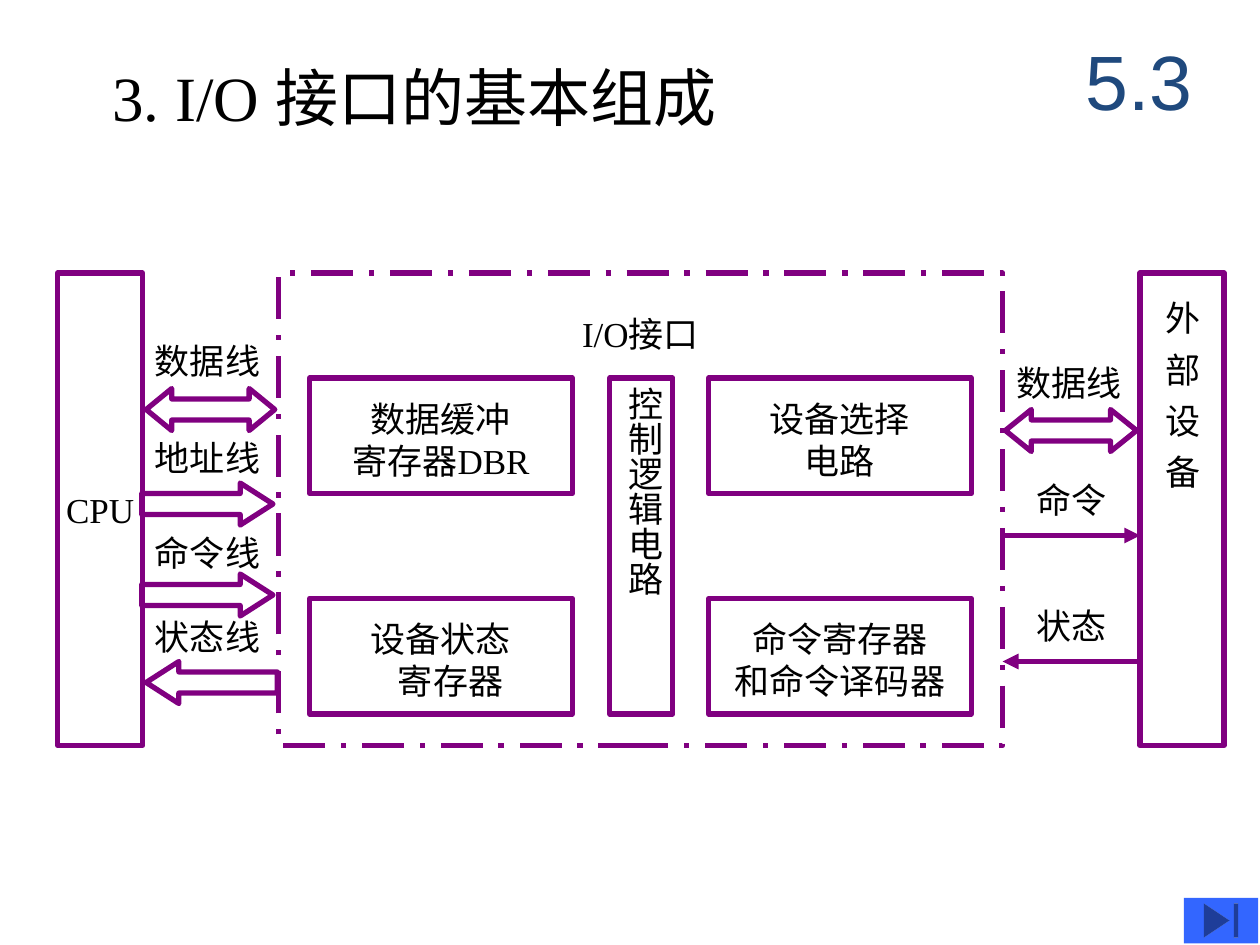
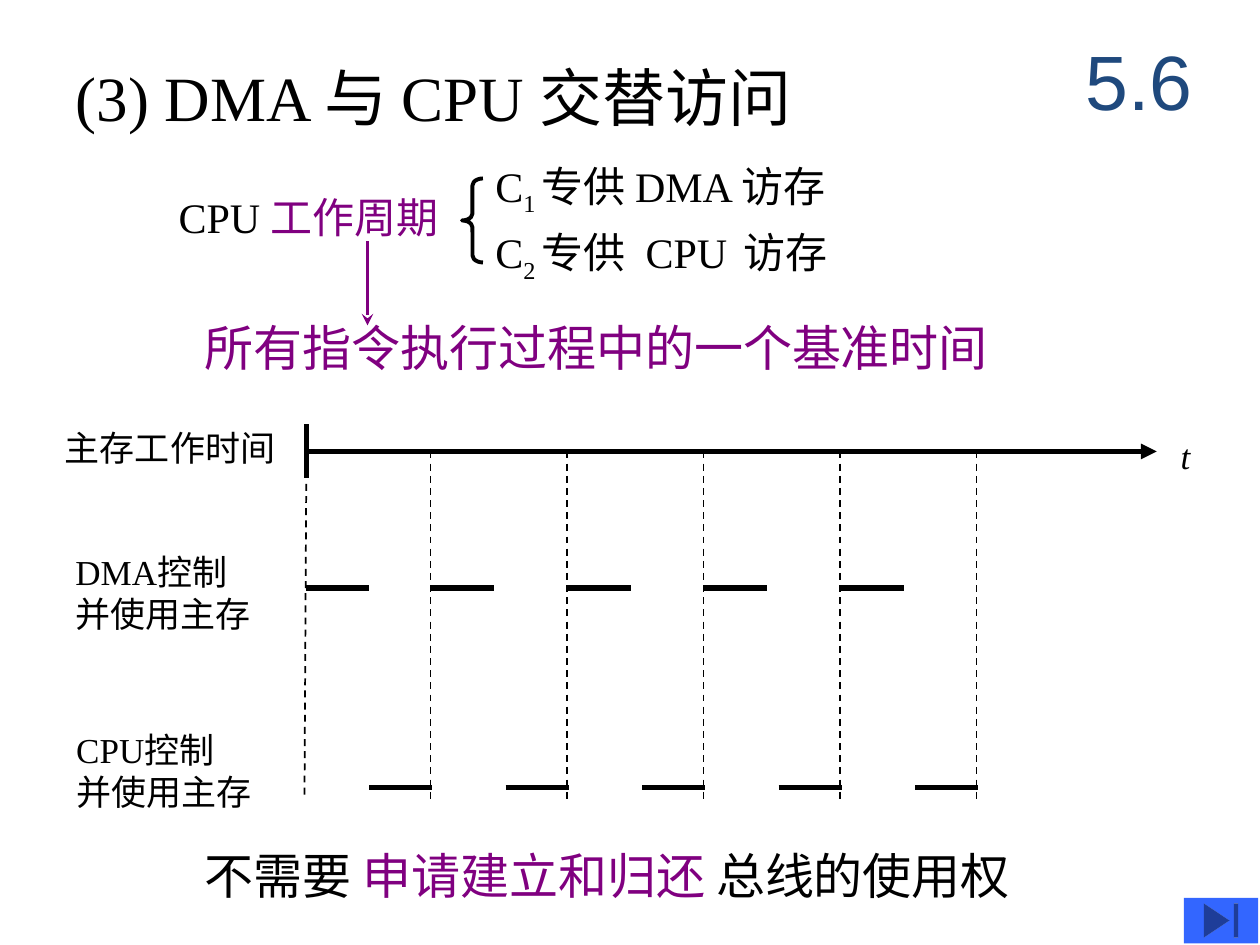
from dataclasses import dataclass

from lxml import etree
from pptx import Presentation
from pptx.dml.color import RGBColor
from pptx.enum import dml, shapes, text
from pptx.oxml import ns
from pptx.util import Pt

INK = RGBColor(0x00, 0x00, 0x00)
PLUM = RGBColor(0x80, 0x00, 0x80)
NAVY = RGBColor(0x1F, 0x49, 0x7D)
BLUE = RGBColor(0x33, 0x66, 0xFF)
SERIF, SANS = "Times New Roman", "Arial"
FORM = shapes.MSO_SHAPE
DASH = dml.MSO_LINE
LEFT, MID = text.PP_ALIGN.LEFT, text.PP_ALIGN.CENTER
TOP, HALF = text.MSO_ANCHOR.TOP, text.MSO_ANCHOR.MIDDLE
PAD = (7.2, 3.6, 7.2, 3.6)


@dataclass
class Run:
    words: str
    color: RGBColor = INK
    base: int = 0      # baseline shift in percent
    gap: float = 0     # extra letter spacing in points
    slant: bool = False


@dataclass
class Line:
    runs: list[Run]
    dent: float = 0


@dataclass
class Box:
    x: float
    y: float
    w: float
    h: float
    lines: list = ()
    pad: tuple = (0, 4, 0, 0)
    dash: object = None
    anchor: object = HALF
    down: bool = False


@dataclass
class Arrow:
    form: object
    x: float
    y: float
    w: float
    tip: float


@dataclass
class Label:
    x: float
    y: float
    w: float
    lines: list
    size: float = 20


# ---- Shared helpers ----
def write(frame, lines: list, size: float = 20, font: str = SERIF,
          color: RGBColor = INK, align=LEFT, anchor=TOP, pad=PAD) -> None:
    frame.word_wrap = True
    frame.auto_size = text.MSO_AUTO_SIZE.NONE
    frame.vertical_anchor = anchor
    (frame.margin_left, frame.margin_top,
     frame.margin_right, frame.margin_bottom) = map(Pt, pad)
    for i, line in enumerate(lines):
        if isinstance(line, str):
            line = Line([Run(line, color)])
        para = frame.paragraphs[0] if i == 0 else frame.add_paragraph()
        para.alignment = align
        if line.dent:
            para._p.get_or_add_pPr().set("marL", str(Pt(line.dent)))
        for part in line.runs:
            run = para.add_run()
            run.text = part.words
            face = run.font
            face.name, face.size, face.color.rgb = font, Pt(size), part.color
            if part.slant:
                face.italic = True
            props = run._r.get_or_add_rPr()
            if part.base:
                props.set("baseline", str(part.base * 1000))
            if part.gap:
                props.set("spc", str(int(part.gap * 100)))


def note(slide, lab: Label, **style) -> None:
    high = 8 + len(lab.lines) * lab.size * 1.2
    box = slide.shapes.add_textbox(Pt(lab.x), Pt(lab.y), Pt(lab.w), Pt(high))
    write(box.text_frame, lab.lines, lab.size, **style)


def draw(slide, form, x: float, y: float, w: float, h: float,
         color: RGBColor = PLUM, width: float = 3):
    item = slide.shapes.add_shape(form, Pt(x), Pt(y), Pt(w), Pt(h))
    item.shadow.inherit = False
    item.fill.background()
    item.line.color.rgb, item.line.width = color, Pt(width)
    return item


def block(slide, box: Box) -> None:
    item = draw(slide, FORM.RECTANGLE, box.x, box.y, box.w, box.h)
    if box.dash:
        item.line.dash_style = box.dash
    write(item.text_frame, box.lines, align=MID, anchor=box.anchor, pad=box.pad)
    if box.down:
        item.text_frame._txBody.bodyPr.set("vert", "eaVert")


def rule(slide, x1: float, y1: float, x2: float, y2: float,
         color: RGBColor = INK, width: float = 3, dash=None, tip: str = "") -> None:
    item = slide.shapes.add_connector(
        shapes.MSO_CONNECTOR.STRAIGHT, Pt(x1), Pt(y1), Pt(x2), Pt(y2))
    item.line.color.rgb, item.line.width = color, Pt(width)
    if dash:
        item.line.dash_style = dash
    if tip:
        end = etree.SubElement(item.line._get_or_add_ln(), ns.qn("a:tailEnd"))
        end.set("type", tip)
    etree.SubElement(item._element.spPr, ns.qn("a:effectLst"))


def start(deck, title: str, left: float, mark: str):
    """Add a slide with its title, section number and button."""
    slide = deck.slides.add_slide(deck.slide_layouts[5])
    head = slide.shapes.title
    head.left, head.top, head.width, head.height = map(Pt, (left, 30, 500, 50.4))
    write(head.text_frame, [title], 36)
    note(slide, Label(606, 15, 90, [mark], 44), font=SANS, color=NAVY,
         align=MID, anchor=HALF)
    key = draw(slide, FORM.ACTION_BUTTON_END, 676.5, 513, 42.5, 26)
    key.fill.solid()
    key.fill.fore_color.rgb = BLUE
    key.line.fill.background()
    return slide


# ---- Slide 1: interface parts ----
def parts(deck) -> None:
    slide = start(deck, "3. I/O 接口的基本组成", 57, "5.3")

    # Registers and circuits in two columns and two rows
    cells = [
        [["数据缓冲", "寄存器DBR"], ["设备选择", "电路"]],
        [["设备状态", Line([Run("寄存器")], dent=11)],
         ["命令寄存器", "和命令译码器"]],
    ]
    for r, row in enumerate(cells):
        for c, lines in enumerate(row):
            block(slide, Box(177 + 228 * c, 216 + 126 * r, 150, 66, lines))

    # Control column, frame, processor and device
    for box in (
        Box(348.5, 216, 36, 192, ["控制逻辑电路"], (4, 5, 0, 0), down=True),
        Box(159, 156, 414, 270, ["I/O接口"], (0, 22.3, 0, 0),
            DASH.LONG_DASH_DOT, TOP),
        Box(651.5, 156, 48, 270, [Line([Run("外部设备", gap=9.3)])],
            (0, 16, 0, 0), down=True),
        Box(33, 156, 48.5, 270, ["CPU"], (0, 0, 0, 0)),
    ):
        block(slide, box)

    # Block arrows
    for arr in (
        Arrow(FORM.LEFT_RIGHT_ARROW, 83.5, 222, 73.5, 0.61),
        Arrow(FORM.RIGHT_ARROW, 81, 276, 75, 0.78),
        Arrow(FORM.RIGHT_ARROW, 81, 328, 75, 0.78),
        Arrow(FORM.LEFT_ARROW, 83.5, 378, 75, 0.78),
        Arrow(FORM.LEFT_RIGHT_ARROW, 574.5, 234, 75, 0.62),
    ):
        item = draw(slide, arr.form, arr.x, arr.y, arr.w, 24)
        item.adjustments[0], item.adjustments[1] = 0.5, arr.tip

    # Signal lines
    rule(slide, 573, 306, 651.5, 306, PLUM, tip="triangle")
    rule(slide, 651.5, 378, 573, 378, PLUM, tip="triangle")

    # Line names
    for x, y, name in (
        (81.5, 190.5, "数据线"), (81.5, 246, "地址线"),
        (81.5, 300, "命令线"), (81.5, 348, "状态线"),
        (574, 203, "数据线"), (585.5, 270, "命令"), (585.5, 342, "状态"),
    ):
        note(slide, Label(x, y, 78, [name]))


# ---- Slide 2: alternating access ----
def turns(deck) -> None:
    slide = start(deck, "(3) DMA 与 CPU 交替访问", 36, "5.6")

    # Work cycle and its two halves
    for lab in (
        Label(95, 106, 184, [Line([Run("CPU "), Run("工作周期", PLUM)])], 24),
        Label(276, 88, 318, [Line([
            Run("C"), Run("1 ", base=-25), Run("专供 DMA 访存")])], 24),
        Label(276, 126, 318, [Line([
            Run("C"), Run("2 ", base=-25), Run("专供"), Run(" ", gap=6),
            Run("CPU"), Run(" ", gap=3.5), Run("访存")])], 24),
        Label(110, 178, 547, [Line([
            Run("所有指令执行过程中的一个基准时间", PLUM)])], 28),
        Label(110, 479.5, 578, [Line([
            Run("不需要 "), Run("申请建立和归还 ", PLUM),
            Run("总线的使用权")])], 28),
    ):
        note(slide, lab)
    brace = draw(slide, FORM.LEFT_BRACE, 264, 102, 12, 48, INK, 2.25)
    brace.adjustments[0] = 0.33
    rule(slide, 210, 138, 210, 186, PLUM, 2.25, tip="stealth")

    # Time axis
    zero, axis, low = 175, 258, 456.5
    rule(slide, zero, 242.5, zero, 273)
    rule(slide, zero, axis, 661, axis, tip="triangle")
    rule(slide, zero, 276.5, zero - 1, 455, width=1, dash=DASH.DASH)

    # Five cycles: memory goes to DMA first, then to the CPU
    step, half = 78, 36
    for i in range(5):
        edge = 246 + step * i
        rule(slide, edge, axis, edge, low, width=1, dash=DASH.DASH)
        dma = zero if i == 0 else edge - step + 0.5
        rule(slide, dma, 336, dma + half, 336)
        cpu = zero + half + step * i
        rule(slide, cpu, 450, cpu + half, 450)

    # Row names
    for lab in (
        Label(30, 240, 140, ["主存工作时间"]),
        Label(36, 311, 125, ["DMA控制", "并使用主存"]),
        Label(36.5, 412.5, 125, ["CPU控制", "并使用主存"]),
        Label(667.5, 245, 24, [Line([Run("t", slant=True)])]),
    ):
        note(slide, lab)


def main() -> None:
    deck = Presentation()
    deck.slide_width, deck.slide_height = Pt(720), Pt(540)
    parts(deck)
    turns(deck)
    deck.save("out.pptx")


if __name__ == "__main__":
    main()
